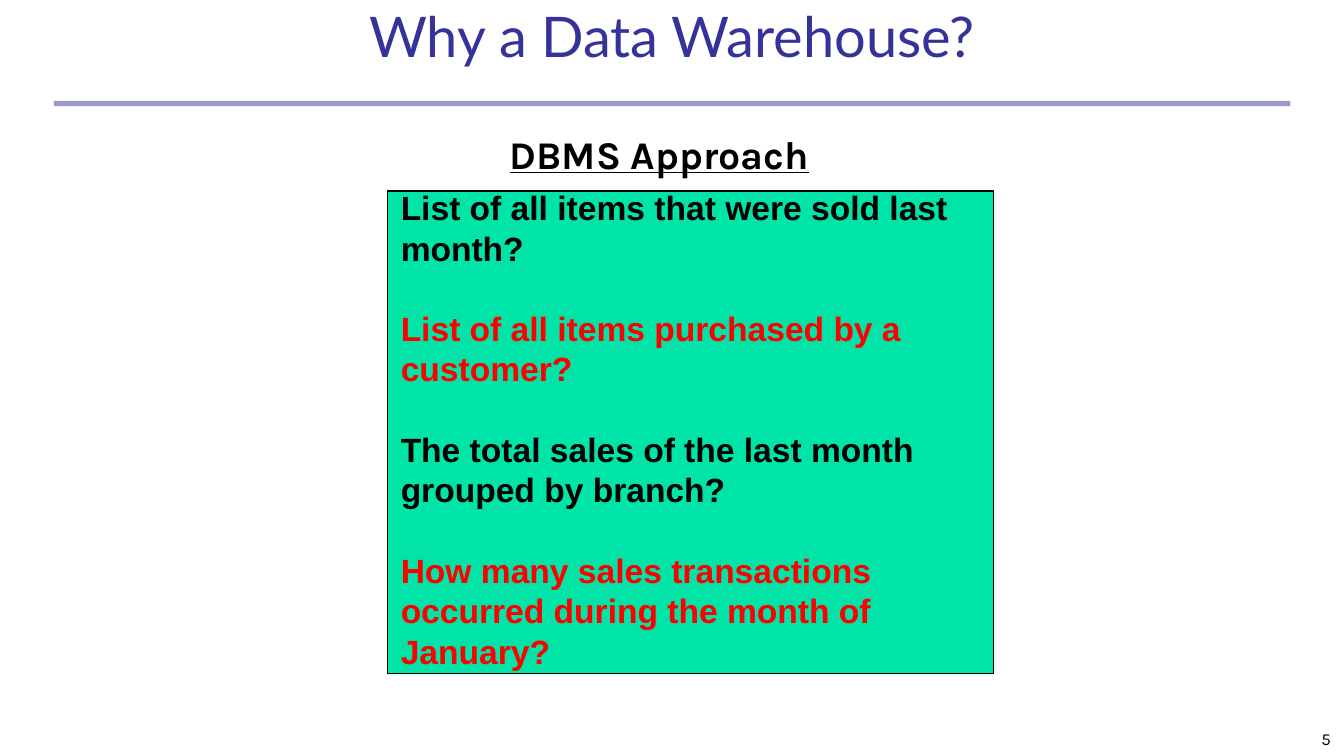
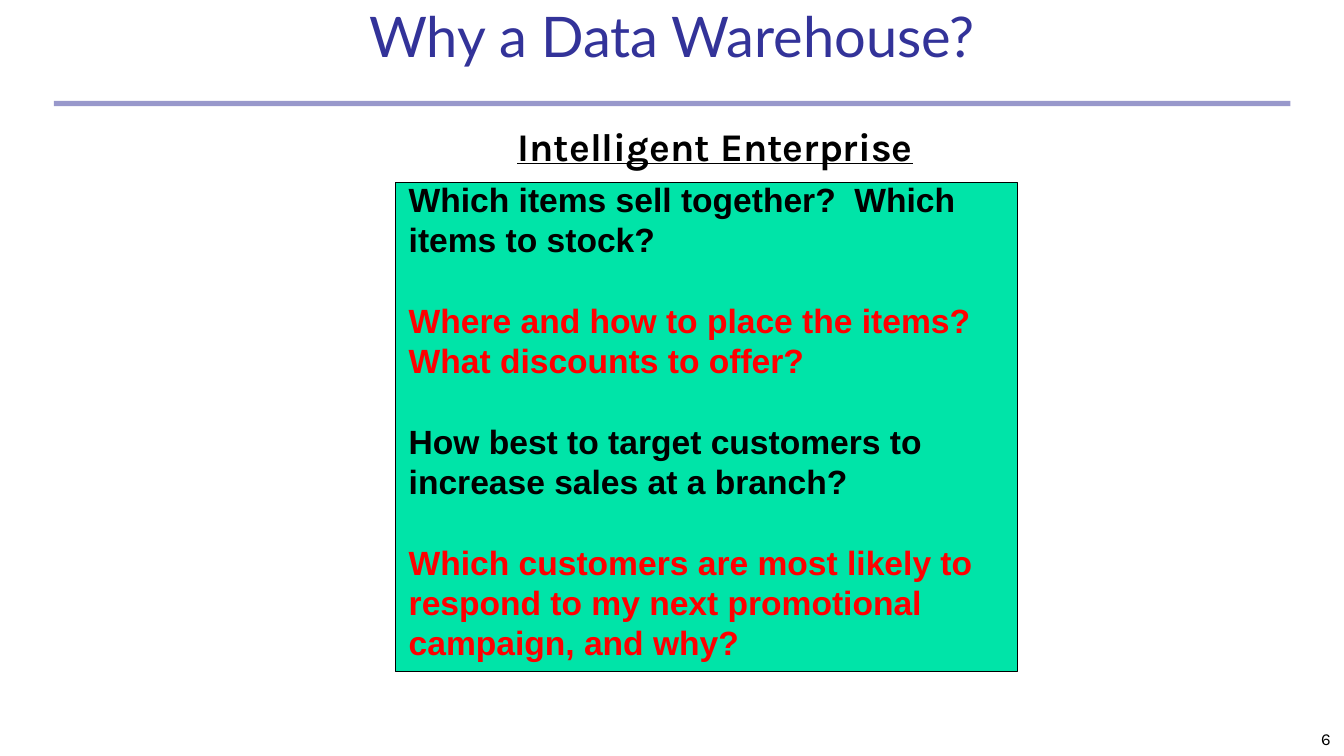
"""Build two slides that compare database questions with data warehouse questions."""
import pptx
import pptx.dml.color
import pptx.enum.shapes
import pptx.enum.text
import pptx.oxml
import pptx.oxml.ns
import pptx.util

Cm, Pt = pptx.util.Cm, pptx.util.Pt
ANCHOR, ALIGN = pptx.enum.text.MSO_ANCHOR, pptx.enum.text.PP_ALIGN
RECTANGLE = pptx.enum.shapes.MSO_SHAPE.RECTANGLE
COLORS = {"navy": "333399", "mint": "00E4A8", "red": "FF0000", "black": "000000", "white": "FFFFFF"}
LINE_PITCH = Pt(21.6)

approaches = [
    {
        "number": "5",
        "heading": "DBMS Approach",
        "heading_width": 6.53,
        "panel": (7.32, 3.61, 11.46, 9.12),
        "questions": [
            "List of all items that were sold last month?",
            "List of all items purchased by a customer?",
            "The total sales of the last month grouped by branch?",
            "How many sales transactions occurred during the month of January?",
        ],
    },
    {
        "number": "6",
        "heading": "Intelligent Enterprise",
        "heading_width": 8.59,
        "panel": (7.47, 3.45, 11.76, 9.25),
        "questions": [
            "Which items sell together?  Which items to stock?",
            "Where and how to place the items? What discounts to offer?",
            "How best to target customers to increase sales at a branch?",
            "Which customers are most likely to respond to my next promotional campaign, and why?",
        ],
    },
]


def rgb(name):
    return pptx.dml.color.RGBColor.from_string(COLORS[name])


def style(paragraph, font_name, size, color, bold=False, underline=False):
    font = paragraph.font
    font.name, font.size = font_name, Pt(size)
    font.bold, font.underline = bold, underline
    font.color.rgb = rgb(color)


prs = pptx.Presentation()
prs.slide_width, prs.slide_height = Cm(25.4), Cm(14.29)

for approach in approaches:
    slide = prs.slides.add_slide(prs.slide_layouts[1])
    title, questions = slide.placeholders

    title.left, title.top, title.width, title.height = Cm(3.18), Cm(0), Cm(19.05), Cm(1.42)
    title.fill.solid()
    title.fill.fore_color.rgb = rgb("white")
    title.text_frame.text = "Why a Data Warehouse?"
    title.text_frame.auto_size = pptx.enum.text.MSO_AUTO_SIZE.NONE
    title.text_frame.vertical_anchor = ANCHOR.BOTTOM
    title.text_frame.paragraphs[0].alignment = ALIGN.CENTER
    style(title.text_frame.paragraphs[0], "Lato", 30, "navy")

    rule = slide.shapes.add_shape(RECTANGLE, Cm(1.02), Cm(1.91), Cm(23.37), Cm(0.1))
    rule.shadow.inherit = False
    rule.line.fill.background()
    rule.fill.solid()
    rule.fill.fore_color.rgb = rgb("navy")
    tint = rule.element.spPr.find(".//" + pptx.oxml.ns.qn("a:srgbClr"))
    pptx.oxml.ns.qn("a:alpha")
    tint.append(pptx.oxml.parse_xml(f'<a:alpha {pptx.oxml.ns.nsdecls("a")} val="50000"/>'))

    number = slide.shapes.add_textbox(Cm(20.12), Cm(13.34), Cm(5.28), Cm(0.95)).text_frame
    number.word_wrap = True
    number.vertical_anchor = ANCHOR.BOTTOM
    number.text = approach["number"]
    number.paragraphs[0].alignment = ALIGN.RIGHT
    style(number.paragraphs[0], "Karla", 9, "black")

    left, top, width, height = approach["panel"]
    panel = slide.shapes.add_shape(RECTANGLE, Cm(left), Cm(top), Cm(width), Cm(height))
    panel.shadow.inherit = False
    panel.fill.solid()
    panel.fill.fore_color.rgb = rgb("mint")
    panel.line.color.rgb = rgb("black")
    panel.line.width = Pt(0.75)
    questions.element.addprevious(panel.element)

    questions.left, questions.top = Cm(left), Cm(top - 0.2)
    questions.width, questions.height = Cm(width + 0.61), Cm(9.5)
    questions.text_frame.text = "\n".join(approach["questions"])
    questions.text_frame.auto_size = pptx.enum.text.MSO_AUTO_SIZE.NONE
    questions.text_frame.vertical_anchor = ANCHOR.TOP
    for index, question in enumerate(questions.text_frame.paragraphs):
        style(question, "Arial", 18, ("black", "red")[index % 2], bold=True)
        question.alignment = ALIGN.LEFT
        question.line_spacing = LINE_PITCH
        question.space_before = LINE_PITCH if index else Pt(0)
        question.space_after = Pt(0)
        properties = question._p.get_or_add_pPr()
        properties.set("marL", "0")
        properties.set("indent", "0")
        bullet = pptx.oxml.parse_xml(f'<a:buNone {pptx.oxml.ns.nsdecls("a")}/>')
        properties.find(pptx.oxml.ns.qn("a:defRPr")).addprevious(bullet)

    heading = slide.shapes.add_textbox(
        Cm(left + 2.06), Cm(top - 1.27), Cm(approach["heading_width"]), Cm(1.17)
    ).text_frame
    heading.word_wrap = False
    heading.text = approach["heading"]
    style(heading.paragraphs[0], "Karla", 21, "black", bold=True, underline=True)

prs.save("out.pptx")
